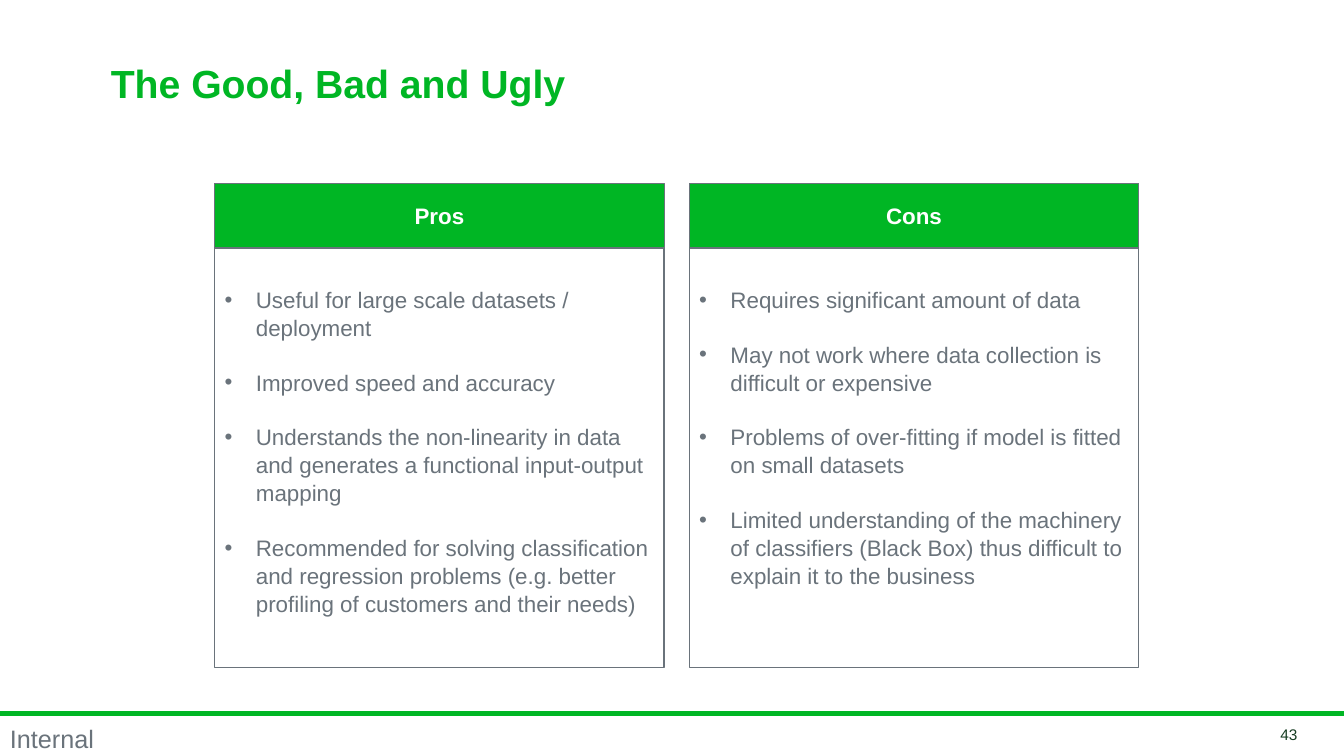
"""Build a slide that sets the pros of a method beside its cons."""

import dataclasses

import lxml.etree
import pptx
import pptx.dml.color
import pptx.enum.shapes
import pptx.enum.text
import pptx.oxml.ns
import pptx.shapes.autoshape
import pptx.slide
import pptx.text.text
import pptx.util

Cm = pptx.util.Cm
Pt = pptx.util.Pt
RGBColor = pptx.dml.color.RGBColor
Align = pptx.enum.text.PP_ALIGN
Anchor = pptx.enum.text.MSO_ANCHOR
qn = pptx.oxml.ns.qn

GREEN = RGBColor(0x00, 0xB6, 0x24)
GREY = RGBColor(0x6A, 0x73, 0x7B)
DARK = RGBColor(0x16, 0x3D, 0x22)
WHITE = RGBColor(0xFF, 0xFF, 0xFF)

WIDTH, HEIGHT = 33.87, 19.05
LEFT, TOP = 5.41, 4.62
WIDE, STEP = 11.33, 11.96
HEAD, BODY = 1.63, 10.57
INDENT = 0.79
RULE = 17.99


@dataclasses.dataclass(frozen=True)
class Panel:
    title: str
    points: tuple[str, ...]


PANELS = (
    Panel("Pros", (
        "Useful for large scale datasets / deployment",
        "Improved speed and accuracy",
        "Understands the non-linearity in data and generates a functional input-output mapping",
        "Recommended for solving classification and regression problems "
        "(e.g. better profiling of customers and their needs)",
    )),
    Panel("Cons", (
        "Requires significant amount of data",
        "May not work where data collection is difficult or expensive",
        "Problems of over-fitting if model is fitted on small datasets",
        "Limited understanding of the machinery of classifiers (Black Box) "
        "thus difficult to explain it to the business",
    )),
)


def style(para: pptx.text.text._Paragraph, size: float, color: RGBColor,
          bold: bool = False, align: Align = Align.LEFT) -> None:
    para.alignment = align
    font = para.font
    font.name, font.size, font.bold = "Arial", Pt(size), bold
    font.color.rgb = color


def inset(frame: pptx.text.text.TextFrame, side: float, top: float, base: float) -> None:
    frame.margin_left = frame.margin_right = Cm(side)
    frame.margin_top, frame.margin_bottom = Cm(top), Cm(base)


def add_box(slide: pptx.slide.Slide, left: float, top: float, height: float,
            fill: RGBColor, line: float) -> pptx.text.text.TextFrame:
    kind = pptx.enum.shapes.MSO_SHAPE.RECTANGLE
    box = slide.shapes.add_shape(kind, Cm(left), Cm(top), Cm(WIDE), Cm(height))
    box.shadow.inherit = False
    box.fill.solid()
    box.fill.fore_color.rgb = fill
    box.line.color.rgb = GREY
    box.line.width = Pt(line)
    box.text_frame.word_wrap = True
    return box.text_frame


def add_point(para: pptx.text.text._Paragraph, text: str) -> None:
    props = para._p.get_or_add_pPr()
    props.set("marL", str(Cm(INDENT)))
    props.set("indent", str(-Cm(INDENT)))
    lxml.etree.SubElement(props, qn("a:buFont")).set("typeface", "Arial")
    lxml.etree.SubElement(props, qn("a:buChar")).set("char", "•")
    para.text = text
    para.line_spacing = 1.04
    style(para, 16, GREY)


def add_panel(slide: pptx.slide.Slide, panel: Panel, left: float) -> None:
    body = add_box(slide, left, TOP + HEAD, BODY, WHITE, 1)
    body.vertical_anchor = Anchor.TOP
    inset(body, 0.25, 0.93, 0.13)
    for rank, point in enumerate(panel.points):
        para = body.add_paragraph() if rank else body.paragraphs[0]
        add_point(para, point)
        if rank:
            para.space_before = Pt(19.2)
    head = add_box(slide, left, TOP, HEAD, GREEN, 0.75)
    head.vertical_anchor = Anchor.MIDDLE
    inset(head, 0.13, 0.13, 0.13)
    head.text = panel.title
    style(head.paragraphs[0], 16, WHITE, True, Align.CENTER)


def add_title(slide: pptx.slide.Slide, text: str) -> None:
    title = slide.shapes.title
    title.left, title.top = Cm(2.54), Cm(1.07)
    title.width, title.height = Cm(25.12), Cm(2.24)
    frame = title.text_frame
    frame.text = text
    frame.auto_size = pptx.enum.text.MSO_AUTO_SIZE.NONE
    frame.vertical_anchor = Anchor.MIDDLE
    frame.paragraphs[0].line_spacing = 0.85
    style(frame.paragraphs[0], 28, GREEN, True)


def add_foot(slide: pptx.slide.Slide) -> None:
    kind = pptx.enum.shapes.MSO_CONNECTOR.STRAIGHT
    rule = slide.shapes.add_connector(kind, 0, Cm(RULE), Cm(WIDTH), Cm(RULE))
    rule.line.color.rgb = GREEN
    rule.line.width = Pt(3.5)
    lxml.etree.SubElement(rule._element.spPr, qn("a:effectLst"))
    label = slide.shapes.add_textbox(0, Cm(18.16), Cm(2.64), Cm(0.99)).text_frame
    label.word_wrap = False
    label.text = "Internal"
    label.paragraphs[0].line_spacing = 0.95
    style(label.paragraphs[0], 18, GREY)
    page = slide.shapes.add_textbox(Cm(30.38), Cm(18.26), Cm(2.57), Cm(0.51)).text_frame
    page.word_wrap = True
    page.vertical_anchor = Anchor.MIDDLE
    page.text = "43"
    style(page.paragraphs[0], 11, DARK, align=Align.RIGHT)


def main() -> None:
    deck = pptx.Presentation()
    deck.slide_width, deck.slide_height = Cm(WIDTH), Cm(HEIGHT)
    slide = deck.slides.add_slide(deck.slide_layouts.get_by_name("Title Only"))
    add_foot(slide)
    add_title(slide, "The Good, Bad and Ugly")
    for rank, panel in enumerate(PANELS):
        add_panel(slide, panel, LEFT + rank * STEP)
    deck.save("out.pptx")


if __name__ == "__main__":
    main()
